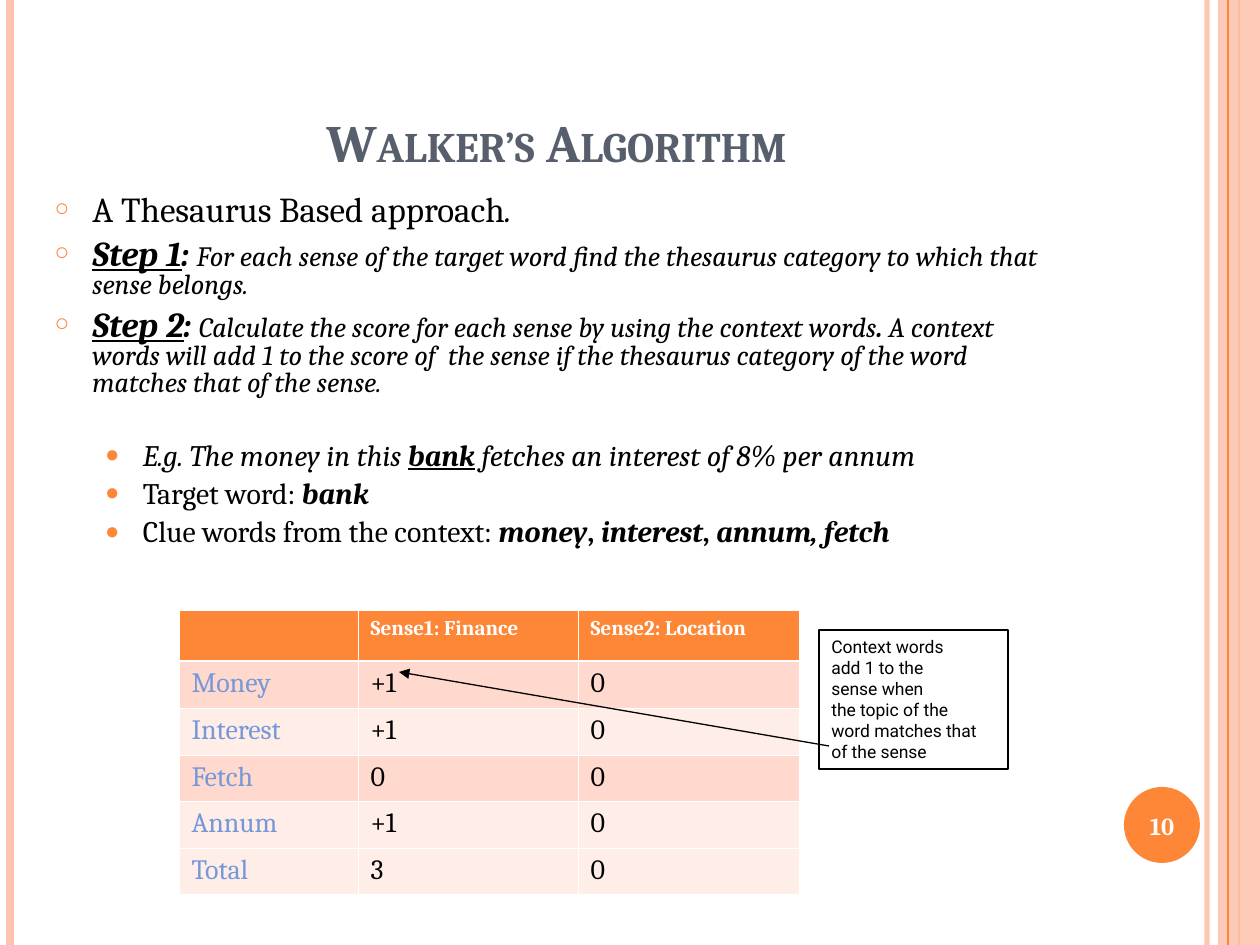
from dataclasses import dataclass, field

from lxml import etree
from pptx import Presentation
from pptx import util as u
from pptx.dml.color import RGBColor
from pptx.enum import shapes, text
from pptx.oxml import parse_xml
from pptx.oxml.ns import nsdecls, qn

COLORS = {
    "orange": "FE8637", "peach": "FEC3AE", "slate": "575F6D", "blue": "7598D9",
    "band_dark": "FFD9CE", "band_light": "FFEDE8", "white": "FFFFFF", "black": "000000",
}
PX_PER_INCH = 126
SERIF, SANS = "Cambria", "Roboto"
BOLD, ITALIC = {"bold": True}, {"italic": True}
BOLD_ITALIC = BOLD | ITALIC
KEYWORD = BOLD_ITALIC | {"underline": True}


@dataclass
class Run:
    text: str
    size: float
    format: dict = field(default_factory=dict)
    color: str = "black"
    font: str = SERIF


@dataclass
class Bullet:
    runs: list
    level: int = 0
    before: float = 6
    spacing: float = 0.8


@dataclass
class Line:
    start: tuple
    end: tuple
    color: str
    width: float
    opacity: int = 100
    arrow: bool = False


def px(value: int) -> int:
    return round(value * u.Inches(1) / PX_PER_INCH)


def rgb(name: str) -> RGBColor:
    return RGBColor.from_string(COLORS[name])


def place(shape, left: int, top: int, width: int, height: int) -> None:
    shape.left, shape.top, shape.width, shape.height = map(px, (left, top, width, height))


def add_runs(paragraph, runs: list) -> None:
    for item in runs:
        run = paragraph.add_run()
        run.text = item.text
        values = {"name": item.font, "size": u.Pt(item.size), "bold": False} | item.format
        for name, value in values.items():
            setattr(run.font, name, value)
        run.font.color.rgb = rgb(item.color)


def set_opacity(parent, percent: int) -> None:
    color = next(parent.iter(qn("a:srgbClr")))
    etree.SubElement(color, qn("a:alpha")).set("val", str(percent * 1000))


def draw_line(slide, line: Line) -> None:
    connector = slide.shapes.add_connector(
        shapes.MSO_CONNECTOR.STRAIGHT, *map(px, line.start + line.end))
    connector.line.color.rgb = rgb(line.color)
    connector.line.width = u.Pt(line.width)
    properties = connector._element.spPr
    if line.opacity < 100:
        set_opacity(properties, line.opacity)
    if line.arrow:
        etree.SubElement(properties.find(qn("a:ln")), qn("a:tailEnd")).set("type", "triangle")
    etree.SubElement(properties, qn("a:effectLst"))


def draw_shape(slide, kind, box: tuple, fill: str, outline: str = ""):
    shape = slide.shapes.add_shape(kind, *map(px, box))
    shape.shadow.inherit = False
    shape.fill.solid()
    shape.fill.fore_color.rgb = rgb(fill)
    if outline:
        shape.line.color.rgb = rgb(outline)
        shape.line.width = u.Pt(0.75)
    else:
        shape.line.fill.background()
    return shape


def write_bullet(paragraph, bullet: Bullet, first: bool) -> None:
    paragraph.level = bullet.level
    paragraph.line_spacing = bullet.spacing
    paragraph.space_before = u.Pt(0 if first else bullet.before)
    indent, size, mark = ((0.3, 70, "○"), (0.7, 80, "●"))[bullet.level]
    properties = paragraph._p.get_or_add_pPr()
    properties.set("marL", str(u.Inches(indent)))
    properties.set("indent", str(u.Inches(-0.3)))
    for xml in (
        f'<a:buClr {nsdecls("a")}><a:srgbClr val="{COLORS["orange"]}"/></a:buClr>',
        f'<a:buSzPct {nsdecls("a")} val="{size * 1000}"/>',
        f'<a:buChar {nsdecls("a")} char="{mark}"/>',
    ):
        properties.append(parse_xml(xml))
    add_runs(paragraph, bullet.runs)


def format_cell(cell, fill: str, edges: dict) -> None:
    properties = cell._tc.get_or_add_tcPr()
    for side, width in edges.items():
        properties.append(parse_xml(
            f'<a:ln{side} {nsdecls("a")} w="{u.Pt(width)}"><a:solidFill>'
            f'<a:srgbClr val="{COLORS["white"]}"/></a:solidFill></a:ln{side}>'))
    cell.fill.solid()
    cell.fill.fore_color.rgb = rgb(fill)


def draw_table(slide, rows: list, widths: tuple, heights: tuple, left: int, top: int) -> None:
    frame = slide.shapes.add_table(
        len(rows), len(widths), *map(px, (left, top, sum(widths), sum(heights))))
    table = frame.table
    for column, width in zip(table.columns, widths):
        column.width = px(width)
    for row, height in zip(table.rows, heights):
        row.height = px(height)
    fills = ("orange", "band_dark", "band_light", "band_dark", "band_light", "band_light")
    for r, (values, fill) in enumerate(zip(rows, fills)):
        edges = {"L": 0.45, "R": 0.45, "T": 1.47 if r == 1 else 0.45, "B": 1.47 if r == 0 else 0.45}
        for c, value in enumerate(values):
            cell = table.cell(r, c)
            format_cell(cell, fill, edges)
            if not value:
                continue
            if r == 0:
                run = Run(value, 12, BOLD, "white")
            else:
                run = Run(value, 16, color="black" if c else "blue")
            add_runs(cell.text_frame.paragraphs[0], [run])


BULLETS = [
    Bullet([Run("A Thesaurus Based approach", 20), Run(".", 20, ITALIC)]),
    Bullet([Run("Step 1", 20, KEYWORD), Run(": ", 20, BOLD_ITALIC),
            Run("For each sense of the target word find the thesaurus category to which that "
                "sense belongs.", 16, ITALIC)]),
    Bullet([Run("Step 2", 20, KEYWORD), Run(": ", 20, BOLD_ITALIC),
            Run("Calculate the score for each sense by using the context words", 16, ITALIC),
            Run(". ", 16, BOLD_ITALIC),
            Run("A context words will add 1 to the score of  the sense if the thesaurus category "
                "of the word matches that of the sense.", 16, ITALIC)]),
    Bullet([Run("E.g. The money in this ", 17, ITALIC), Run("bank", 17, KEYWORD),
            Run(" fetches an interest of 8% per annum", 17, ITALIC)], 1, 26),
    Bullet([Run("Target word: ", 17), Run("bank", 17, BOLD_ITALIC)], 1, 4.2, 0.87),
    Bullet([Run("Clue words from the context: ", 17), Run("money", 17, BOLD_ITALIC),
            Run(", ", 17, BOLD), Run("interest", 17, BOLD_ITALIC), Run(", ", 17, BOLD),
            Run("annum, fetch", 17, BOLD_ITALIC)], 1, 4.2, 0.87),
]
SCORES = [
    ("", "Sense1: Finance", "Sense2: Location"),
    ("Money", "+1", "0"), ("Interest", "+1", "0"), ("Fetch", "0", "0"),
    ("Annum", "+1", "0"), ("Total", "3", "0"),
]
CALLOUT = ("Context words", "add 1 to the", "sense when", "the topic of the",
           "word matches that", "of the sense")


def main() -> None:
    presentation = Presentation()
    presentation.slide_width, presentation.slide_height = px(1260), px(945)
    slide = presentation.slides.add_slide(presentation.slide_layouts[1])

    # Side stripes and page number
    for x, color, width, opacity in ((1207, "peach", 3, 93), (10, "peach", 4.5, 100),
                                     (1239, "orange", 1.5, 100)):
        draw_line(slide, Line((x, 0), (x, 945), color, width, opacity))
    band = draw_shape(slide, shapes.MSO_SHAPE.RECTANGLE, (1218, 0, 42, 945), "peach")
    set_opacity(band._element.spPr, 87)
    draw_line(slide, Line((1228, 0), (1228, 945), "orange", 0.75))
    draw_shape(slide, shapes.MSO_SHAPE.OVAL, (1124, 787, 76, 76), "orange")
    number = slide.shapes.add_textbox(*map(px, (1120, 790, 84, 72))).text_frame
    number.word_wrap = True
    number.vertical_anchor = text.MSO_ANCHOR.MIDDLE
    number.paragraphs[0].alignment = text.PP_ALIGN.CENTER
    add_runs(number.paragraphs[0], [Run("10", 14, BOLD, "white")])

    # Title and list
    title, body = slide.shapes.title, slide.placeholders[1]
    place(title, 42, 21, 1029, 158)
    place(body, 42, 189, 1029, 388)
    for frame in (title.text_frame, body.text_frame):
        frame.auto_size = text.MSO_AUTO_SIZE.NONE
    title.text_frame.vertical_anchor = text.MSO_ANCHOR.BOTTOM
    heading = title.text_frame.paragraphs[0]
    heading.alignment = text.PP_ALIGN.CENTER
    add_runs(heading, [Run(part, size, BOLD, "slate") for part, size in (
        ("W", 30), ("ALKER’S", 24), (" A", 30), ("LGORITHM", 24))])
    frame = body.text_frame
    for index, bullet in enumerate(BULLETS):
        paragraph = frame.add_paragraph() if index else frame.paragraphs[0]
        write_bullet(paragraph, bullet, index == 0)

    # Score table
    draw_table(slide, SCORES, (179, 220, 221), (51, 47, 47, 46, 47, 46), 179, 610)

    # Callout with its arrow
    callout = draw_shape(slide, shapes.MSO_SHAPE.RECTANGLE, (819, 630, 189, 139), "white", "black")
    frame = callout.text_frame
    frame.word_wrap = True
    frame.vertical_anchor = text.MSO_ANCHOR.TOP
    for index, words in enumerate(CALLOUT):
        paragraph = frame.add_paragraph() if index else frame.paragraphs[0]
        paragraph.alignment = text.PP_ALIGN.LEFT
        add_runs(paragraph, [Run(words, 10, font=SANS)])
    draw_line(slide, Line((829, 746), (399, 672), "black", 0.75, arrow=True))

    presentation.save("out.pptx")


if __name__ == "__main__":
    main()
